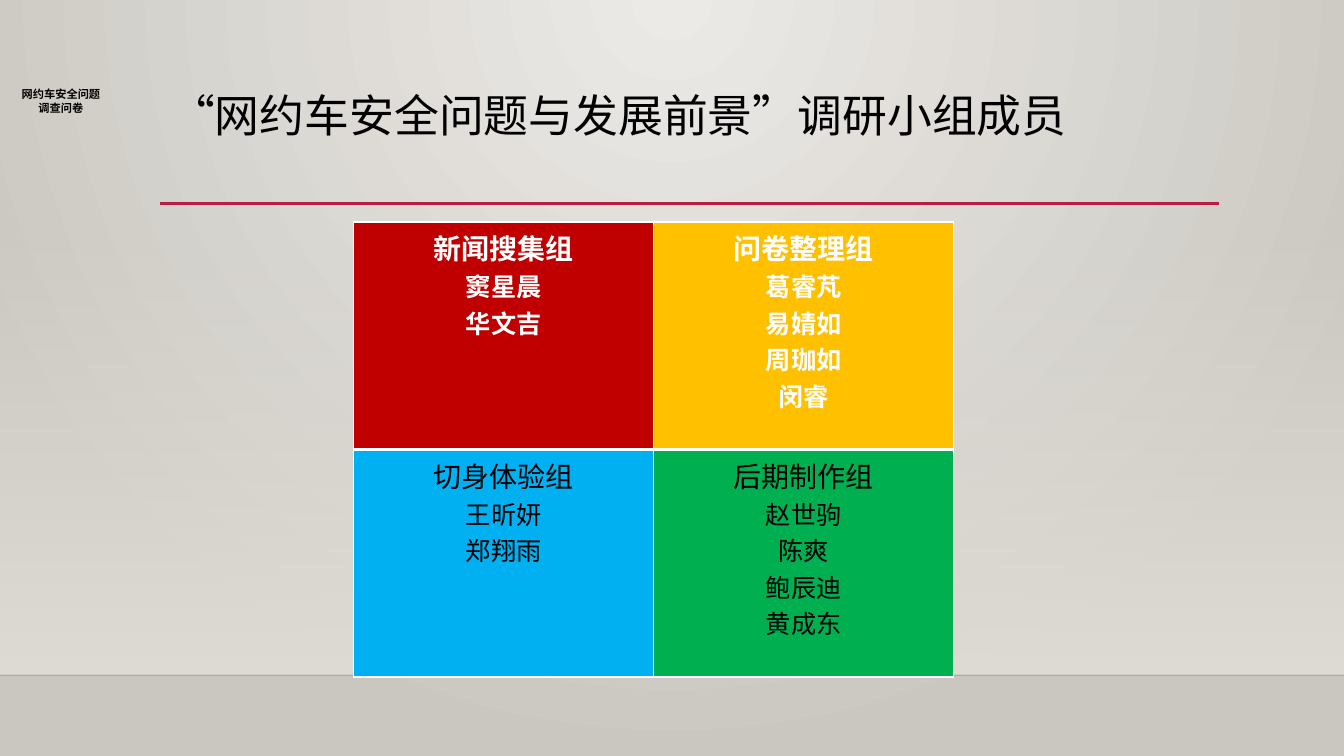
import pptx
import pptx.dml.color
import pptx.enum.shapes
import pptx.enum.text
import pptx.oxml
import pptx.oxml.ns
import pptx.util

Pt = pptx.util.Pt
RGB = pptx.dml.color.RGBColor
qn = pptx.oxml.ns.qn
Align = pptx.enum.text.PP_ALIGN
NS = pptx.oxml.ns.nsdecls("a")

BLACK = RGB(0x00, 0x00, 0x00)
WHITE = RGB(0xFF, 0xFF, 0xFF)
INK = RGB(0x00, 0x00, 0x01)
CRIMSON = RGB(0xB7, 0x1E, 0x42)
LIGHT = RGB(0xEC, 0xEA, 0xE7)
STONE = RGB(0xCA, 0xC7, 0xC1)
SAND = RGB(0xDF, 0xDB, 0xD5)
RED = RGB(0xC0, 0x00, 0x00)
GOLD = RGB(0xFF, 0xC0, 0x00)
BLUE = RGB(0x00, 0xB0, 0xF0)
GREEN = RGB(0x00, 0xB0, 0x50)

WIDTH, HEIGHT = 960, 540
FLOOR = 482.4  # height of the horizon line

TITLE = "“网约车安全问题与发展前景”调研小组成员"
LABEL = ["网约车安全问题", "调查问卷"]
# Group name, members, cell colour
TEAMS = [
    [("新闻搜集组", ["窦星晨", "华文吉"], RED),
     ("问卷整理组", ["葛睿芃", "易婧如", "周珈如", "闵睿"], GOLD)],
    [("切身体验组", ["王昕妍", "郑翔雨"], BLUE),
     ("后期制作组", ["赵世驹", "陈爽", "鲍辰迪", "黄成东"], GREEN)],
]


def write(para, text, size=18, color=BLACK, bold=False, font="Calibri",
          align=Align.CENTER, space=None):
    """Put one formatted run into a paragraph."""
    para.alignment = align
    para.line_spacing = space
    run = para.add_run()
    run.text = text
    run.font.size = Pt(size)
    run.font.bold = bold
    run.font.name = font
    run.font.color.rgb = color
    props = run.font._element
    props.set("lang", "zh-CN")
    latin = props.find(qn("a:latin"))
    latin.addnext(pptx.oxml.parse_xml(f'<a:ea {NS} typeface="Noto Sans CJK SC"/>'))


def blend(fill, stops, shade):
    """Turn a fill into a gradient of (position, colour, opacity) stops."""
    fill.gradient()
    marks = "".join(
        f'<a:gs pos="{pos * 1000}"><a:srgbClr val="{color}">'
        f'<a:alpha val="{alpha * 1000}"/></a:srgbClr></a:gs>'
        for pos, color, alpha in stops)
    fresh = pptx.oxml.parse_xml(
        f'<a:gradFill {NS} rotWithShape="1"><a:gsLst>{marks}</a:gsLst>{shade}</a:gradFill>')
    old = fill._fill._gradFill
    old.getparent().replace(old, fresh)


class Deck:
    def __init__(self):
        self.show = pptx.Presentation()
        self.show.slide_width, self.show.slide_height = Pt(WIDTH), Pt(HEIGHT)
        self.slide = self.show.slides.add_slide(self.show.slide_layouts[6])
        self.shapes = self.slide.shapes

    def backdrop(self):
        blend(self.slide.background.fill, [(0, LIGHT, 100), (100, STONE, 100)],
              '<a:path path="circle">'
              '<a:fillToRect l="43000" t="0" r="43000" b="100000"/></a:path>')

    def haze(self, x, y, w, h):
        box = self.shapes.add_shape(pptx.enum.shapes.MSO_SHAPE.RECTANGLE,
                                    Pt(x), Pt(y), Pt(w), Pt(h))
        box.shadow.inherit = False
        box.line.fill.background()
        blend(box.fill, [(0, SAND, 0), (100, SAND, 100)],
              '<a:lin ang="5400000" scaled="0"/>')

    def rule(self, x, y, end, color, width, alpha=100):
        line = self.shapes.add_connector(pptx.enum.shapes.MSO_CONNECTOR.STRAIGHT,
                                         Pt(x), Pt(y), Pt(end), Pt(y))
        line.line.color.rgb = color
        line.line.width = Pt(width)
        props = line._element.spPr
        tint = props.find(".//" + qn("a:srgbClr"))
        tint.append(pptx.oxml.parse_xml(f'<a:alpha {NS} val="{alpha * 1000}"/>'))
        props.append(pptx.oxml.parse_xml(f"<a:effectLst {NS}/>"))

    def text(self, x, y, w, h, lines, **style):
        frame = self.shapes.add_textbox(Pt(x), Pt(y), Pt(w), Pt(h)).text_frame
        frame.word_wrap = True
        self.fill_text(frame, [(line, style) for line in lines])

    def fill_text(self, frame, lines):
        for i, (line, style) in enumerate(lines):
            para = frame.add_paragraph() if i else frame.paragraphs[0]
            write(para, line, **style)

    def edge(self, cell, widths):
        props = cell._tc.get_or_add_tcPr()
        for i, (side, width) in enumerate(zip("LRTB", widths)):
            props.insert(i, pptx.oxml.parse_xml(
                f'<a:ln{side} {NS} w="{Pt(width)}"><a:solidFill>'
                f'<a:srgbClr val="{WHITE}"/></a:solidFill></a:ln{side}>'))

    def table(self, x, y, w, h, teams):
        grid = self.shapes.add_table(len(teams), len(teams[0]),
                                     Pt(x), Pt(y), Pt(w), Pt(h)).table
        grid.first_row = grid.horz_banding = False
        for r, row in enumerate(teams):
            head = r == 0
            style = dict(color=WHITE if head else BLACK, bold=head)
            for c, (name, people, color) in enumerate(row):
                cell = grid.cell(r, c)
                cell.fill.solid()
                cell.fill.fore_color.rgb = color
                self.edge(cell, (1, 1, 1, 3) if head else (1, 1, 3, 1))
                self.fill_text(cell.text_frame, [(name, dict(style, size=20))]
                               + [(one, style) for one in people])


def main():
    deck = Deck()
    # Background and horizon
    deck.backdrop()
    deck.haze(0, 159, WIDTH, FLOOR - 159)
    deck.rule(0, FLOOR, WIDTH, INK, 1, alpha=20)
    # Corner label
    deck.text(-31.7, 59, 150.5, 26.6, LABEL, size=8, bold=True,
              font="Noto Sans CJK SC")
    # Title with its rule
    deck.rule(114.5, 145.4, 871, CRIMSON, 2.5)
    deck.text(114.5, 63.4, 756, 82.8, [TITLE], size=32, align=Align.LEFT, space=0.9)
    # Team table
    deck.table(252.6, 158.6, 428.6, 325, TEAMS)
    deck.show.save("out.pptx")


if __name__ == "__main__":
    main()
